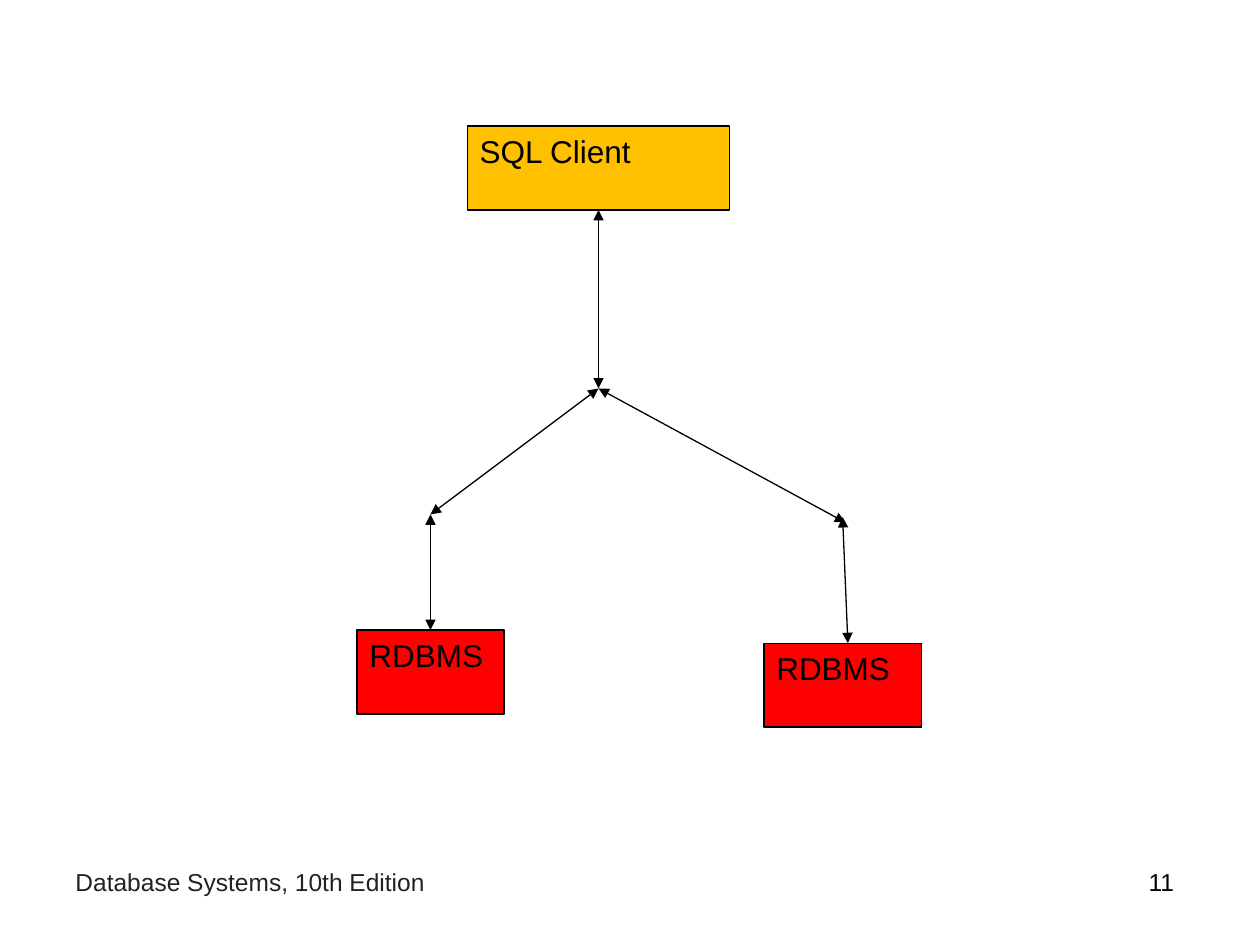
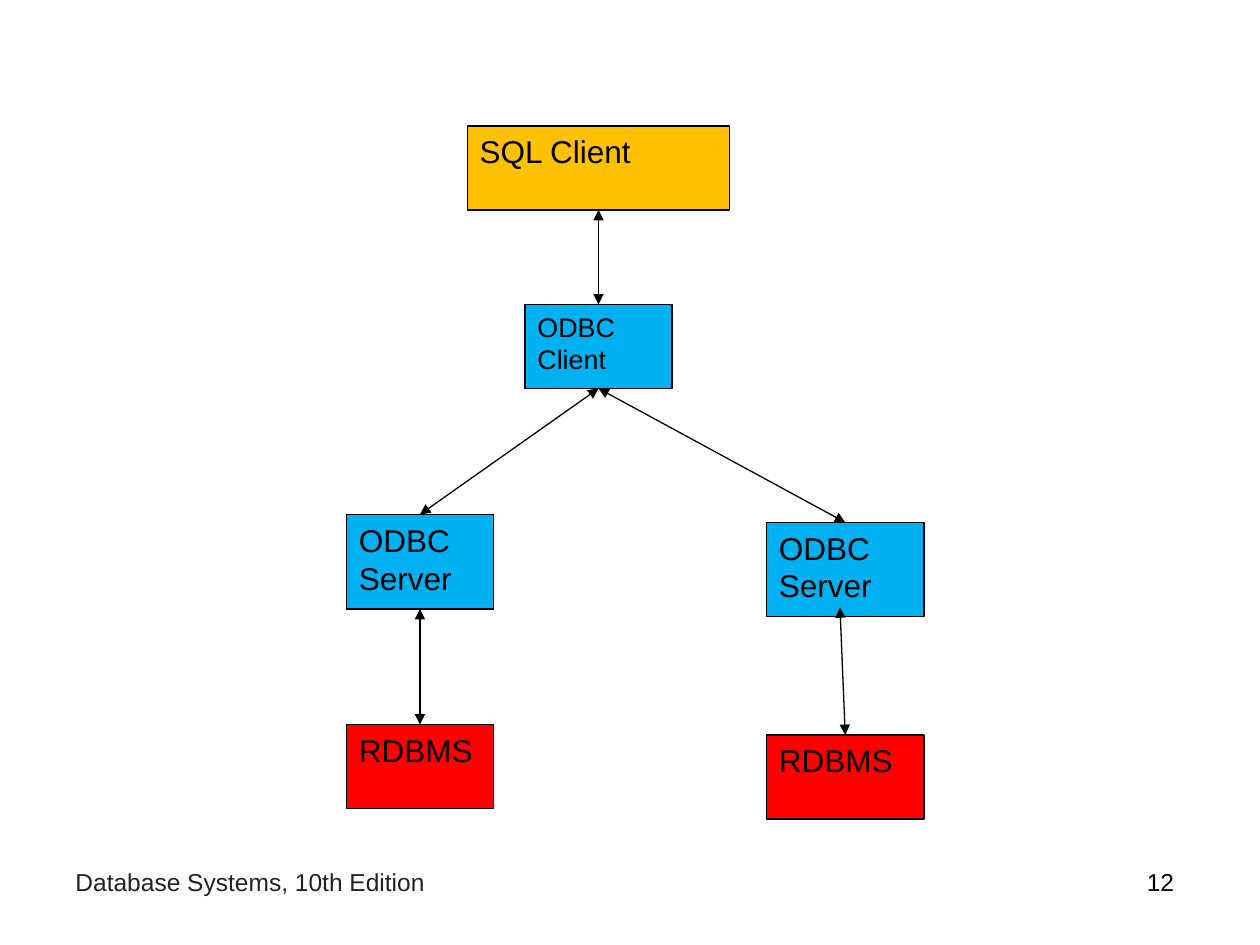
from lxml.etree import SubElement
from pptx import Presentation
from pptx.dml.color import RGBColor
from pptx.enum.shapes import MSO_CONNECTOR as Connector, MSO_SHAPE as Shape
from pptx.enum.text import MSO_ANCHOR as Anchor, PP_ALIGN as Align
from pptx.oxml.ns import qn
from pptx.util import Inches, Pt

COLORS = {
    "client": "FFC000",
    "middleware": "00B0F0",
    "database": "FF0000",
    "ink": "000000",
    "footer": "222222",
}
COLUMNS, ROWS = 120, 90
CENTER = 57
FOOTER_ROW = 82


class DiagramDeck:
    """Draws boxes, arrows and footers on a grid of columns and rows."""

    def __init__(self):
        self.presentation = Presentation()
        self.presentation.slide_width = Inches(10)
        self.presentation.slide_height = Inches(7.5)
        self.column = self.presentation.slide_width / COLUMNS
        self.row = self.presentation.slide_height / ROWS
        self.slide = None

    def place(self, *lengths):
        units = (self.column, self.row) * 2
        return [round(length * unit) for length, unit in zip(lengths, units)]

    def color(self, name):
        return RGBColor.from_string(COLORS[name])

    def label(self, shape, text, size, color="ink", align=Align.LEFT):
        frame = shape.text_frame
        frame.text = text
        frame.word_wrap = True
        frame.vertical_anchor = Anchor.TOP
        paragraph = frame.paragraphs[0]
        paragraph.alignment = align
        for run in paragraph.runs:
            run.font.name = "Arial"
            run.font.size = Pt(size)
            run.font.color.rgb = self.color(color)

    def footer(self, text, left, width, height, color, align):
        area = self.place(left, FOOTER_ROW, width, height)
        self.label(self.slide.shapes.add_textbox(*area), text, 14, color, align)

    def add_slide(self, number):
        self.slide = self.presentation.slides.add_slide(self.presentation.slide_layouts[6])
        self.footer("Database Systems, 10th Edition", 6, 51, 8, "footer", Align.LEFT)
        self.footer(str(number), 86, 27, 6.25, "ink", Align.RIGHT)

    def outline(self, line):
        line.color.rgb = self.color("ink")
        line.width = Pt(0.75)

    def box(self, text, fill, center, top, width, height=8, size=18):
        area = self.place(center - width / 2, top, width, height)
        shape = self.slide.shapes.add_shape(Shape.FLOWCHART_PROCESS, *area)
        shape.shadow.inherit = False
        shape.fill.solid()
        shape.fill.fore_color.rgb = self.color(fill)
        self.outline(shape.line)
        self.label(shape, text, size)

    def arrow(self, start, end):
        ends = self.place(*start, *end)
        connector = self.slide.shapes.add_connector(Connector.STRAIGHT, *ends)
        self.outline(connector.line)
        properties = connector._element.spPr
        line = properties.find(qn("a:ln"))
        for tip in ("a:headEnd", "a:tailEnd"):
            SubElement(line, qn(tip), type="triangle")
        SubElement(properties, qn("a:effectLst"))

    def client(self):
        self.box("SQL Client", "client", CENTER, 12, 25)

    def databases(self, left_center, left_top, right_center, right_top):
        self.box("RDBMS", "database", left_center, left_top, 14)
        self.box("RDBMS", "database", right_center, right_top, 15)

    def branches(self, left_center):
        fork = (CENTER, 37)
        self.arrow(fork, (80.5, 49.75))
        self.arrow(fork, (left_center, 49))


def draw_direct_access(deck):
    deck.add_slide(11)
    deck.client()
    deck.databases(41, 60, 80.25, 61.25)
    deck.arrow((CENTER, 20), (CENTER, 37))
    deck.arrow((41, 49), (41, 60))
    deck.arrow((80.25, 49.25), (80.75, 61.25))
    deck.branches(41)


def draw_odbc_access(deck):
    deck.add_slide(12)
    deck.client()
    deck.box("ODBC Client", "middleware", CENTER, 29, 14, size=15.3)
    deck.box("ODBC Server", "middleware", 40, 49, 14, 9)
    deck.box("ODBC Server", "middleware", 80.5, 49.75, 15, 9)
    deck.databases(40, 69, 80.5, 70)
    deck.arrow((CENTER, 20), (CENTER, 29))
    deck.arrow((40, 58), (40, 69))
    deck.arrow((80, 57.85), (80.5, 70))
    deck.branches(40)


def main():
    deck = DiagramDeck()
    draw_direct_access(deck)
    draw_odbc_access(deck)
    deck.presentation.save("out.pptx")


if __name__ == "__main__":
    main()
